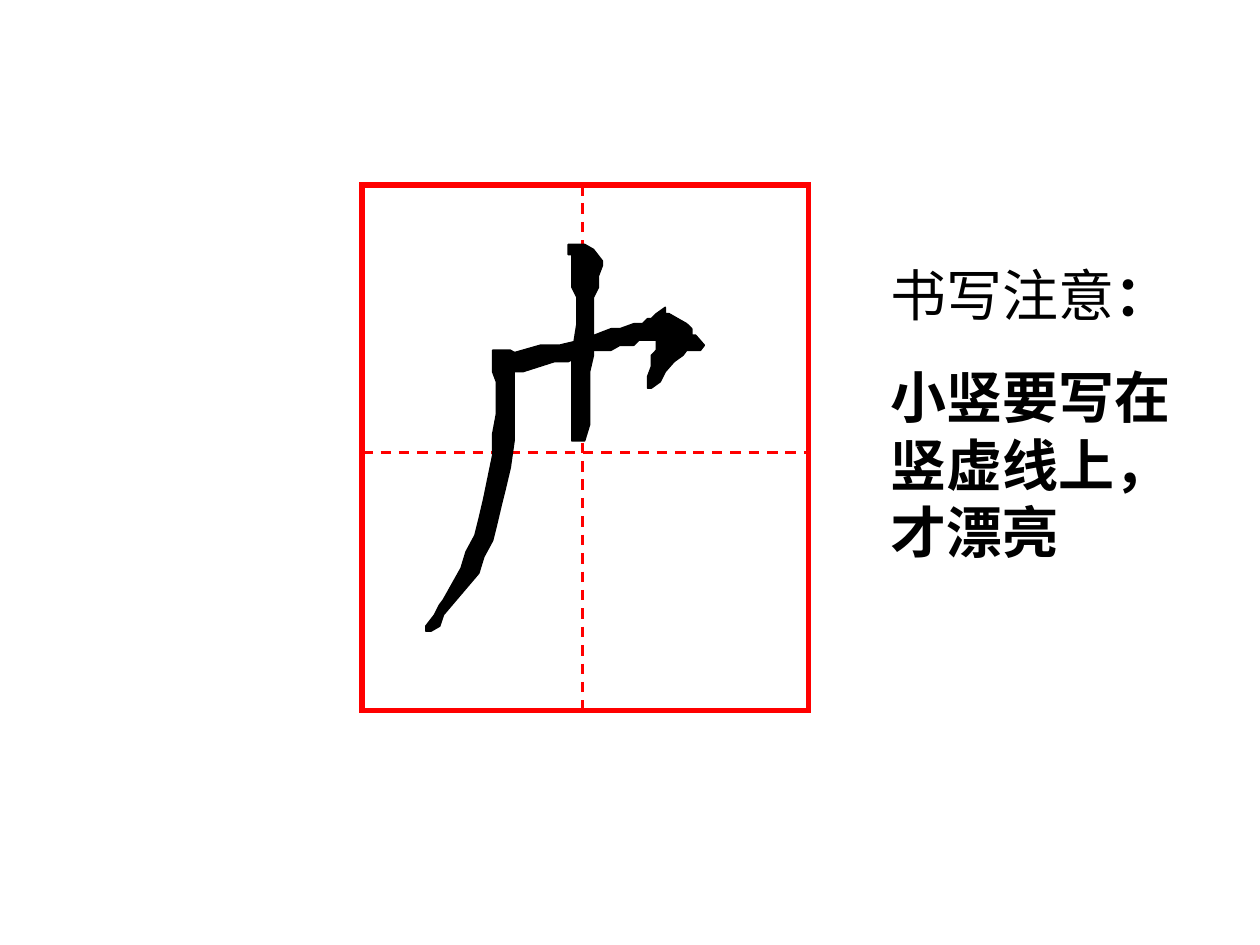
"""Build a slide showing a character in a writing grid, with a note on its strokes."""
import pptx
import pptx.dml.color
import pptx.enum.dml
import pptx.enum.shapes
import pptx.enum.text
import pptx.util
from lxml import etree

Cm, Pt = pptx.util.Cm, pptx.util.Pt
RGB = pptx.dml.color.RGBColor.from_string
COLORS = {"ink": "000000", "grid": "FF0000", "paper": "FFFFFF"}
UNITS_PER_CM = 100 / 2.54


def add_run(p, text, size=32, bold=False, font="Arial", color="ink"):
    r = p.add_run()
    r.text = text
    r.font.size = Pt(size)
    r.font.bold = bold
    r.font.name = font
    r.font.color.rgb = RGB(COLORS[color])


prs = pptx.Presentation()
prs.slide_width, prs.slide_height = Cm(25.4), Cm(19.05)
s = prs.slides.add_slide(prs.slide_layouts[6])

left, top, width, height = 7.3, 3.73, 9, 10.59
mid_x, mid_y = 11.74, 9.12
grid = s.shapes.add_group_shape()
sp = grid.shapes.add_shape(pptx.enum.shapes.MSO_SHAPE.RECTANGLE,
                           Cm(left), Cm(top), Cm(width), Cm(height))
sp.shadow.inherit = False
sp.fill.solid()
sp.fill.fore_color.rgb = RGB(COLORS["paper"])
sp.line.color.rgb = RGB(COLORS["grid"])
sp.line.width = Pt(3)
ln = sp._element.spPr.find(pptx.oxml.ns.qn("a:ln"))
etree.SubElement(ln, pptx.oxml.ns.qn("a:miter"), lim="800000")

for ends in [(left, mid_y, left + width, mid_y), (mid_x, top, mid_x, top + height)]:
    line = grid.shapes.add_connector(pptx.enum.shapes.MSO_CONNECTOR.STRAIGHT,
                                     *[Cm(v) for v in ends])
    line.line.color.rgb = RGB(COLORS["grid"])
    line.line.width = Pt(1.5)
    line.line.dash_style = pptx.enum.dml.MSO_LINE.DASH
    etree.SubElement(line._element.spPr, pptx.oxml.ns.qn("a:effectLst"))

left_falling = [
    (380, 455), (352, 488), (349, 497), (342, 501), (338, 501), (338, 497),
    (345, 488), (349, 480), (352, 476), (366, 451), (370, 438), (377, 425),
    (380, 413), (384, 396), (391, 362), (391, 345), (394, 329), (394, 303),
    (391, 295), (391, 278), (405, 278), (412, 282), (412, 286), (408, 295),
    (408, 350), (405, 371), (401, 388), (398, 400), (394, 417), (391, 429),
    (384, 442)]
horizontal_hook = [
    (503, 257), (510, 257), (514, 253), (517, 253), (521, 249), (528, 244),
    (528, 249), (531, 249), (545, 257), (549, 261), (549, 266), (552, 266),
    (559, 274), (556, 278), (545, 278), (542, 282), (535, 287), (528, 295),
    (524, 303), (517, 308), (514, 308), (514, 299), (517, 291), (517, 282),
    (521, 278), (521, 270), (507, 270), (503, 274), (492, 274), (485, 278),
    (468, 278), (461, 282), (451, 287), (440, 287), (415, 295), (401, 295),
    (401, 282), (429, 274), (444, 274), (461, 270), (465, 266), (472, 266),
    (485, 261), (492, 261)]
short_vertical = [
    (475, 219), (475, 228), (471, 236), (471, 282), (468, 295), (468, 337),
    (464, 350), (454, 350), (454, 282), (458, 257), (458, 236), (454, 228),
    (454, 202), (451, 202), (451, 194), (464, 194), (471, 198), (478, 207),
    (478, 211)]

for points in [left_falling, horizontal_hook, short_vertical]:
    builder = s.shapes.build_freeform(*points[0], scale=Cm(1) / UNITS_PER_CM)
    builder.add_line_segments(points[1:], close=True)
    sp = builder.convert_to_shape()
    sp.shadow.inherit = False
    sp.fill.solid()
    sp.fill.fore_color.rgb = RGB(COLORS["ink"])
    sp.line.color.rgb = RGB(COLORS["ink"])
    sp.line.width = Pt(0.91)

tf = s.shapes.add_textbox(Cm(17.7), Cm(5.13), Cm(6.6), Cm(6.38)).text_frame
tf.word_wrap = True
tf.auto_size = pptx.enum.text.MSO_AUTO_SIZE.SHAPE_TO_FIT_TEXT
p = tf.paragraphs[0]
add_run(p, "书写注意")
add_run(p, "：", bold=True)
p = tf.add_paragraph()
p.space_before = Pt(20)
add_run(p, "小竖要写在竖虚线上，才漂亮", bold=True)

prs.save("out.pptx")
